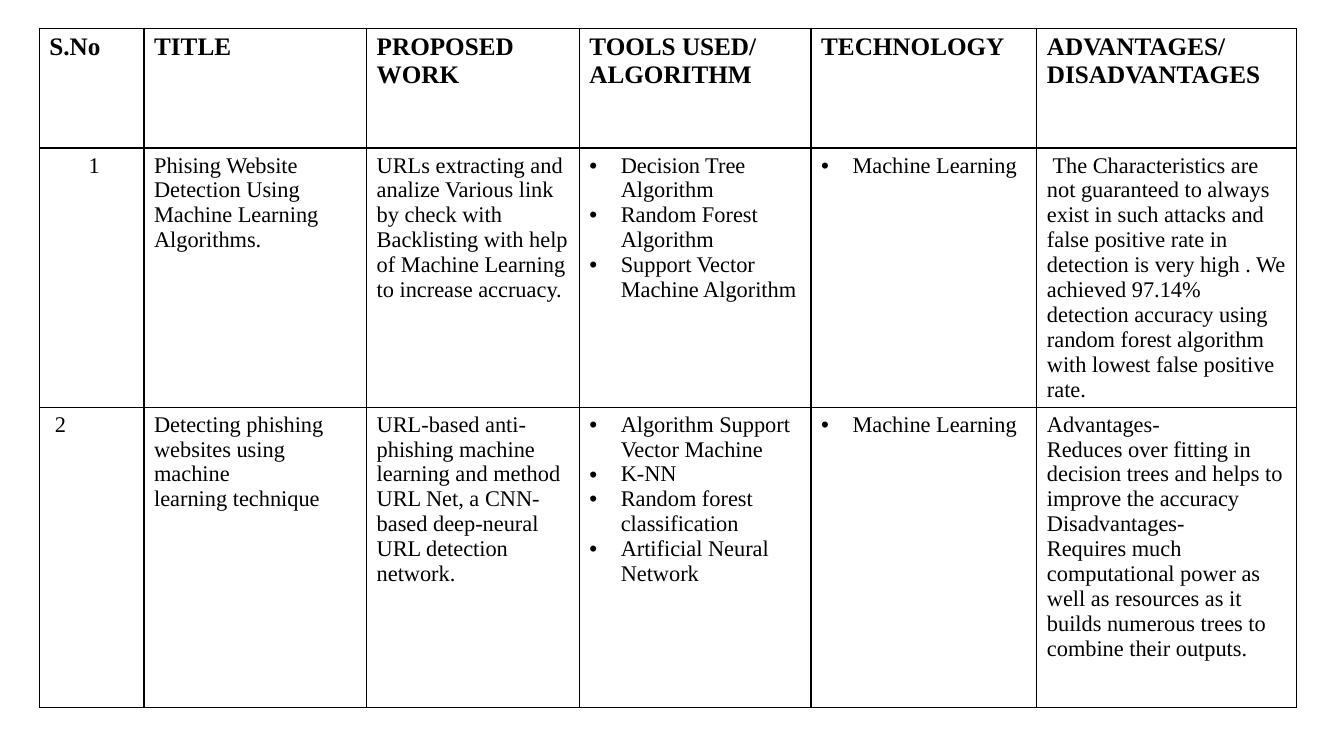
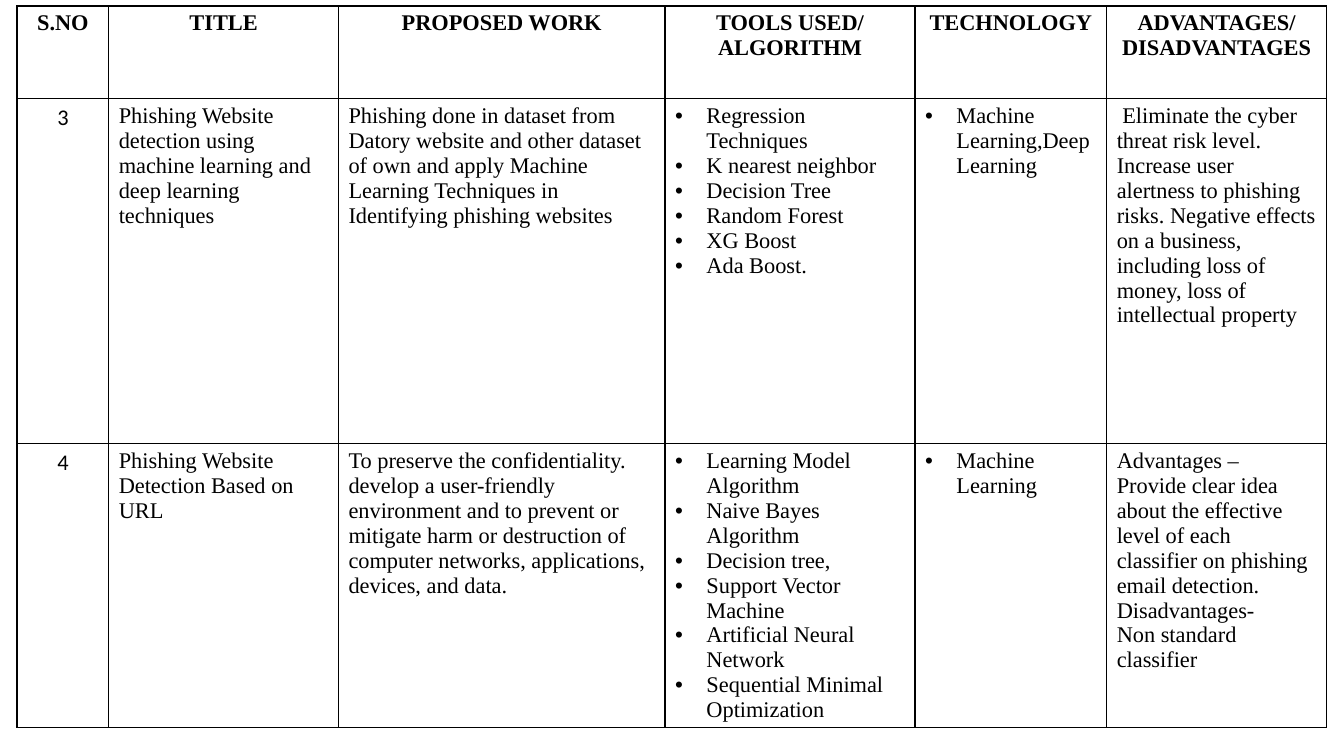
from pptx import Presentation
from pptx.dml.color import RGBColor as Rgb
from pptx.enum.text import PP_ALIGN as Align
from pptx.oxml.xmlchemy import OxmlElement as Node
from pptx.util import Cm, Pt

# Shared look
INK, PAPER = "000000", "FFFFFF"
SERIF, SANS = "Times New Roman", "Calibri"
BODY = 16
HANG = 0.79    # bullet indent, cm
NUDGE = 0.14   # small first-line indent, cm
LISTS = (3, 4)  # columns set as bullet lists

# First table: text, and the format of a cell where it is special
FIRST = [
    ["S.No", "TITLE", "PROPOSED WORK", "TOOLS USED/\nALGORITHM",
     "TECHNOLOGY", "ADVANTAGES/ DISADVANTAGES"],
    [("1", {"left": 0.99}),
     "Phising Website Detection Using Machine Learning Algorithms.",
     "URLs extracting and analize Various link by check with Backlisting "
     "with help of Machine Learning to increase accruacy.",
     "Decision Tree Algorithm\nRandom Forest Algorithm\n"
     "Support Vector Machine Algorithm",
     "Machine Learning",
     ("The Characteristics are not guaranteed to always exist in such "
      "attacks and false positive rate in detection is very high . We "
      "achieved 97.14% detection accuracy using random forest algorithm "
      "with lowest false positive rate.", {"first": NUDGE})],
    [("2", {"left": NUDGE}),
     "Detecting phishing websites using machine\nlearning technique",
     "URL-based anti-phishing machine learning and method URL Net, "
     "a CNN-based deep-neural URL detection network.",
     "Algorithm Support Vector Machine\nK-NN\n"
     "Random forest classification\nArtificial Neural Network",
     "Machine Learning",
     "Advantages-\nReduces over fitting in decision trees and helps to "
     "improve the accuracy\nDisadvantages-\nRequires much computational "
     "power as well as resources as it builds numerous trees to combine "
     "their outputs."],
]

# Second table
MID = {"align": Align.CENTER, "font": SANS}
SECOND = [
    ["S.NO", "TITLE", "PROPOSED WORK", "TOOLS USED/\nALGORITHM",
     "TECHNOLOGY", "ADVANTAGES/ DISADVANTAGES"],
    [("3", MID),
     "Phishing Website detection using machine learning and deep learning "
     "techniques",
     "Phishing done in dataset from Datory website and other dataset of own "
     "and apply Machine Learning Techniques in Identifying phishing websites",
     "Regression Techniques\nK nearest neighbor\nDecision Tree\n"
     "Random Forest\nXG Boost\nAda Boost.",
     "Machine Learning,Deep Learning",
     ("Eliminate the cyber threat risk level. Increase user alertness to "
      "phishing risks. Negative effects on a business, including loss of "
      "money, loss of intellectual property", {"first": NUDGE})],
    [("4", MID),
     "Phishing Website Detection Based on URL",
     "To preserve the confidentiality.\ndevelop a user-friendly environment "
     "and to prevent or mitigate harm or destruction of computer networks, "
     "applications, devices, and data.",
     "Learning Model Algorithm\nNaive Bayes Algorithm\nDecision tree,\n"
     "Support Vector Machine\nArtificial Neural Network\n"
     "Sequential Minimal Optimization",
     "Machine Learning",
     "Advantages –\nProvide clear idea about the effective level of each "
     "classifier on phishing email detection.\nDisadvantages-\n"
     "Non standard classifier"],
]


def color(code):
    return Rgb.from_string(code)


def write(frame, text, size=BODY, font=SERIF, bold=False, align=Align.LEFT,
          left=0, first=0, bullet=False):
    """Fill a text frame, one paragraph a line."""
    for i, line in enumerate(text.split("\n")):
        para = frame.paragraphs[0] if i == 0 else frame.add_paragraph()
        para.alignment = align
        run = para.add_run()
        run.text = line
        run.font.size, run.font.name, run.font.bold = Pt(size), font, bold
        run.font.color.rgb = color(INK)
        props = para._p.get_or_add_pPr()
        props.set("marL", str(Cm(HANG if bullet else left)))
        props.set("indent", str(Cm(-HANG if bullet else first)))
        if bullet:
            face, mark = Node("a:buFont"), Node("a:buChar")
            face.set("typeface", "Arial")
            mark.set("char", "•")
            props.extend([face, mark])


def border(cell, width=1):
    """Draw the four edges of a cell."""
    props = cell._tc.get_or_add_tcPr()
    for side in "LRTB":
        edge, fill, tint = (Node(f"a:ln{side}"), Node("a:solidFill"),
                            Node("a:srgbClr"))
        edge.set("w", str(Pt(width)))
        tint.set("val", INK)
        fill.append(tint)
        edge.append(fill)
        props.append(edge)


def grid(slide, data, left, top, cols, rows, head):
    """Add a ruled table; head is the format of its first row."""
    table = slide.shapes.add_table(
        len(rows), len(cols), Cm(left), Cm(top),
        Cm(sum(cols)), Cm(sum(rows))).table
    table.first_row = table.horz_banding = False
    for col, width in zip(table.columns, cols):
        col.width = Cm(width)
    for row, height in zip(table.rows, rows):
        row.height = Cm(height)
    for r, items in enumerate(data):
        for c, item in enumerate(items):
            text, style = (item, {}) if isinstance(item, str) else item
            if r == 0:
                style = head
            elif c in LISTS:
                style = {"bullet": True}
            cell = table.cell(r, c)
            border(cell)
            cell.fill.solid()
            cell.fill.fore_color.rgb = color(PAPER)
            write(cell.text_frame, text, **style)


def main():
    deck = Presentation()
    deck.slide_width, deck.slide_height = Cm(33.87), Cm(19.05)
    blank = deck.slide_layouts[6]

    # Papers 1 and 2
    grid(deck.slides.add_slide(blank), FIRST, 0.99, 0.71,
         cols=[2.64, 5.61, 5.36, 5.84, 5.69, 6.55],
         rows=[3.02, 6.53, 7.57],
         head={"size": 18, "bold": True})

    # Papers 3 and 4
    grid(deck.slides.add_slide(blank), SECOND, 0.43, 0.15,
         cols=[2.31, 5.79, 8.23, 6.3, 4.83, 5.54],
         rows=[2.34, 8.69, 7.14],
         head={"bold": True, "align": Align.CENTER})

    deck.save("out.pptx")


main()
